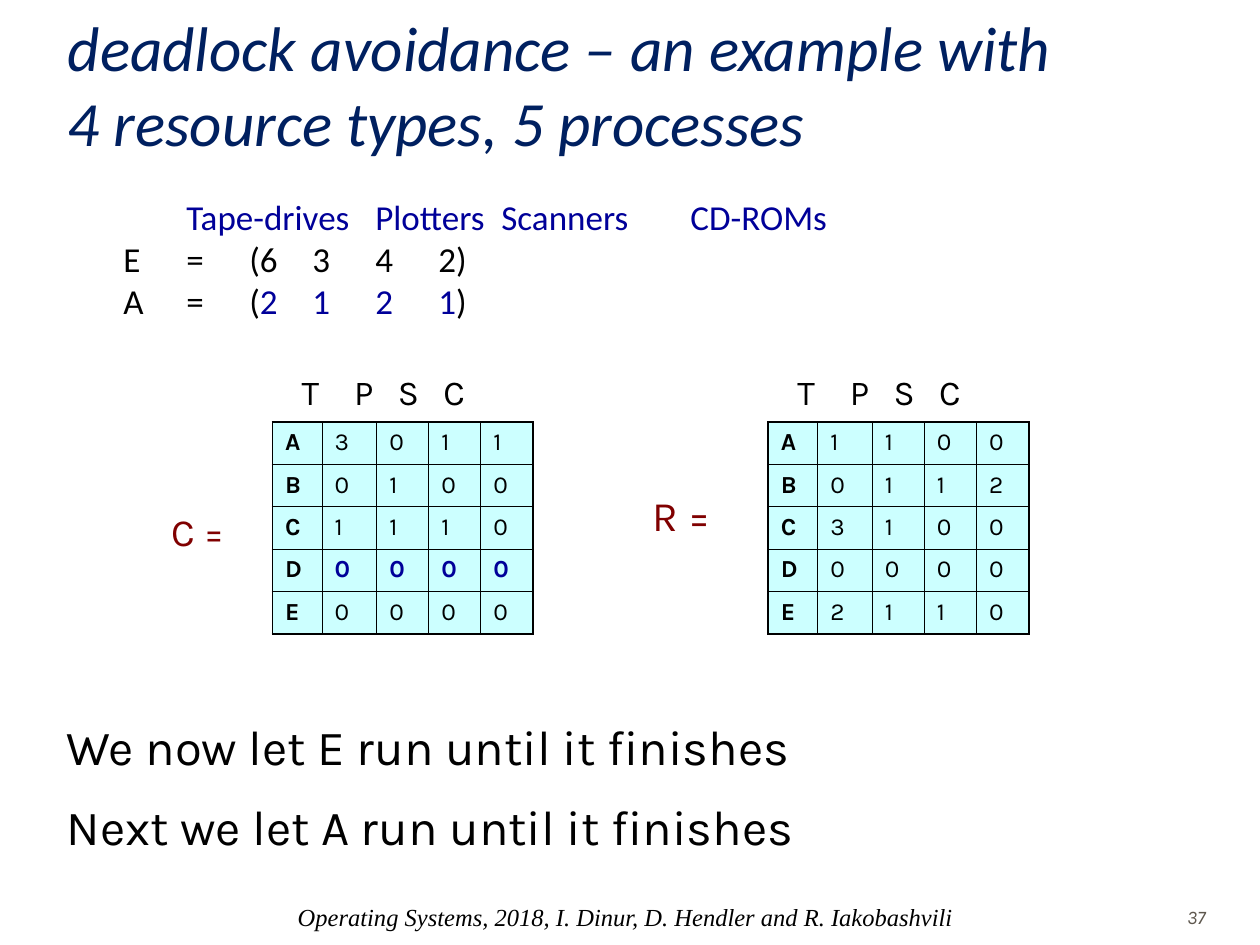
import pptx
import pptx.dml.color
import pptx.enum.text
import pptx.oxml.ns
import pptx.util
from lxml import etree

Pt = pptx.util.Pt
ALIGN = pptx.enum.text.PP_ALIGN
BLACK, BLUE, NAVY, MAROON = "000000", "000099", "002060", "800000"
ALLOCATED = ["3011", "0100", "1110", "0000", "0000"]
REQUESTED = ["1100", "0112", "3100", "0000", "2110"]


def rgb(value):
    """Return the colour for a hex string."""
    return pptx.dml.color.RGBColor.from_string(value)


def style(run, size, color, face="Karla", bold=False, italic=False):
    """Format one run."""
    font = run.font
    font.name, font.size, font.bold, font.italic = face, Pt(size), bold, italic
    font.color.rgb = rgb(color)


def place(shape, box):
    """Move a shape to a box of left, top, width and height."""
    shape.left, shape.top, shape.width, shape.height = map(Pt, box)


def child(parent, tag, **attributes):
    """Append a DrawingML element to its parent."""
    element = etree.SubElement(parent, pptx.oxml.ns.qn(tag))
    for name, value in attributes.items():
        element.set(name, str(value))
    return element


def add_tabs(paragraph, stops):
    """Give a paragraph left tab stops."""
    tab_list = child(paragraph._p.get_or_add_pPr(), "a:tabLst")
    for stop in stops:
        child(tab_list, "a:tab", pos=int(Pt(stop)), algn="l")


def add_label(slide, box, words, size, color=BLACK, align=ALIGN.LEFT, stops=(), **look):
    """Add a one-line text box."""
    label = slide.shapes.add_textbox(*map(Pt, box))
    label.text_frame.word_wrap = True
    line = label.text_frame.paragraphs[0]
    line.text = words
    if stops:
        add_tabs(line, stops)
    line.alignment = align
    style(line.runs[0], size, color, **look)


def add_title(slide, box):
    """Fill the title placeholder."""
    title = slide.shapes.title
    place(title, box)
    frame = title.text_frame
    frame.text = "deadlock avoidance – an example with\v4 resource types, 5 processes"
    frame.auto_size = pptx.enum.text.MSO_AUTO_SIZE.NONE
    frame.vertical_anchor = pptx.enum.text.MSO_ANCHOR.MIDDLE
    heading = frame.paragraphs[0]
    heading.alignment = ALIGN.LEFT
    for run in heading.runs:
        style(run, 36, NAVY, "Calibri", italic=True)


def add_vectors(slide, box):
    """Fill the body placeholder with the existing and available resources."""
    body = slide.placeholders[1]
    place(body, box)
    frame = body.text_frame
    frame.auto_size = pptx.enum.text.MSO_AUTO_SIZE.NONE
    frame.margin_left = Pt(34.5)
    value_stops = [24, 47.5, 145.5, 219, 279]
    rows = [
        ([("\tTape-drives\tPlotters\tScanners\tCD-ROMs", BLUE)], [23, 130, 215, 296]),
        ([("E\t=\t(6\t3\t4\t2)", BLACK)], value_stops),
        ([("A\t=\t(", BLACK), ("2\t1\t2\t1", BLUE), (")", BLACK)], value_stops),
    ]
    for index, (pieces, stops) in enumerate(rows):
        line = frame.paragraphs[0] if index == 0 else frame.add_paragraph()
        properties = line._p.get_or_add_pPr()
        properties.set("marL", "0")
        properties.set("indent", "0")
        child(properties, "a:buNone")
        add_tabs(line, stops)
        line.space_before = Pt(0)
        for words, color in pieces:
            run = line.add_run()
            run.text = words
            style(run, 20, color, "Calibri")


def add_borders(cell, heavy_sides):
    """Draw cell borders, thicker on the outer sides."""
    properties = cell._tc.get_or_add_tcPr()
    for side in "LRTB":
        width = 1.08 if side in heavy_sides else 0.45
        border = child(properties, "a:ln" + side, w=int(Pt(width)))
        child(child(border, "a:solidFill"), "a:srgbClr", val=BLACK)


def add_matrix(slide, box, counts, highlighted=""):
    """Add a process by resource matrix under its column letters."""
    left, top, width, height = box
    add_label(slide, (left + 9.5, top - 33, 178, 32), "T\tP\tS\tC", 20, stops=[30, 55, 81])
    grid = slide.shapes.add_table(5, 5, *map(Pt, box)).table
    grid.first_row = grid.horz_banding = False
    for column, column_width in zip(grid.columns, [28.25, 31.25, 29.75, 29.75, 30]):
        column.width = Pt(column_width)
    for r, (process, row_counts) in enumerate(zip("ABCDE", counts)):
        grid.rows[r].height = Pt(height / 5)
        for c, value in enumerate(process + row_counts):
            cell = grid.cell(r, c)
            outer = {"L": c == 0, "R": c == 4, "T": r == 0, "B": r == 4}
            add_borders(cell, [side for side in outer if outer[side]])
            cell.fill.solid()
            cell.fill.fore_color.rgb = rgb("CCFFFF")
            cell.text_frame.text = value
            marked = process == highlighted and c > 0
            style(cell.text_frame.paragraphs[0].runs[0], 14,
                  BLUE if marked else BLACK, bold=c == 0 or marked)


def add_footer(slide, box):
    """Add the course line and the page number."""
    left, top, width, height = box
    add_label(slide, (left, top, width, height),
              "Operating Systems, 2018, I. Dinur, D. Hendler and R. Iakobashvili",
              14, align=ALIGN.CENTER, face="Times New Roman", italic=True)
    add_label(slide, (left + 447, top + 1.5, 144, 22), "37", 11, "5E574E",
              ALIGN.RIGHT, italic=True)


def main():
    """Build the slide."""
    deck = pptx.Presentation()
    deck.slide_width, deck.slide_height = Pt(720), Pt(540)
    slide = deck.slides.add_slide(deck.slide_layouts[1])
    add_title(slide, (31.5, 18, 612, 60))
    add_vectors(slide, (36, 108, 596, 264))
    add_label(slide, (90.75, 286.5, 215, 34), "C =", 22, MAROON)
    add_label(slide, (365.75, 276, 68, 45), "R =", 24, MAROON)
    add_matrix(slide, (155.75, 241.25, 149, 121), ALLOCATED, "D")
    add_matrix(slide, (439, 241.25, 149, 121), REQUESTED)
    for top, step in [(406, "We now let E run until it finishes"),
                      (451.5, "Next we let A run until it finishes")]:
        add_label(slide, (31, top, 436, 41), step, 28)
    add_footer(slide, (105, 512, 505, 28))
    deck.save("out.pptx")


if __name__ == "__main__":
    main()
